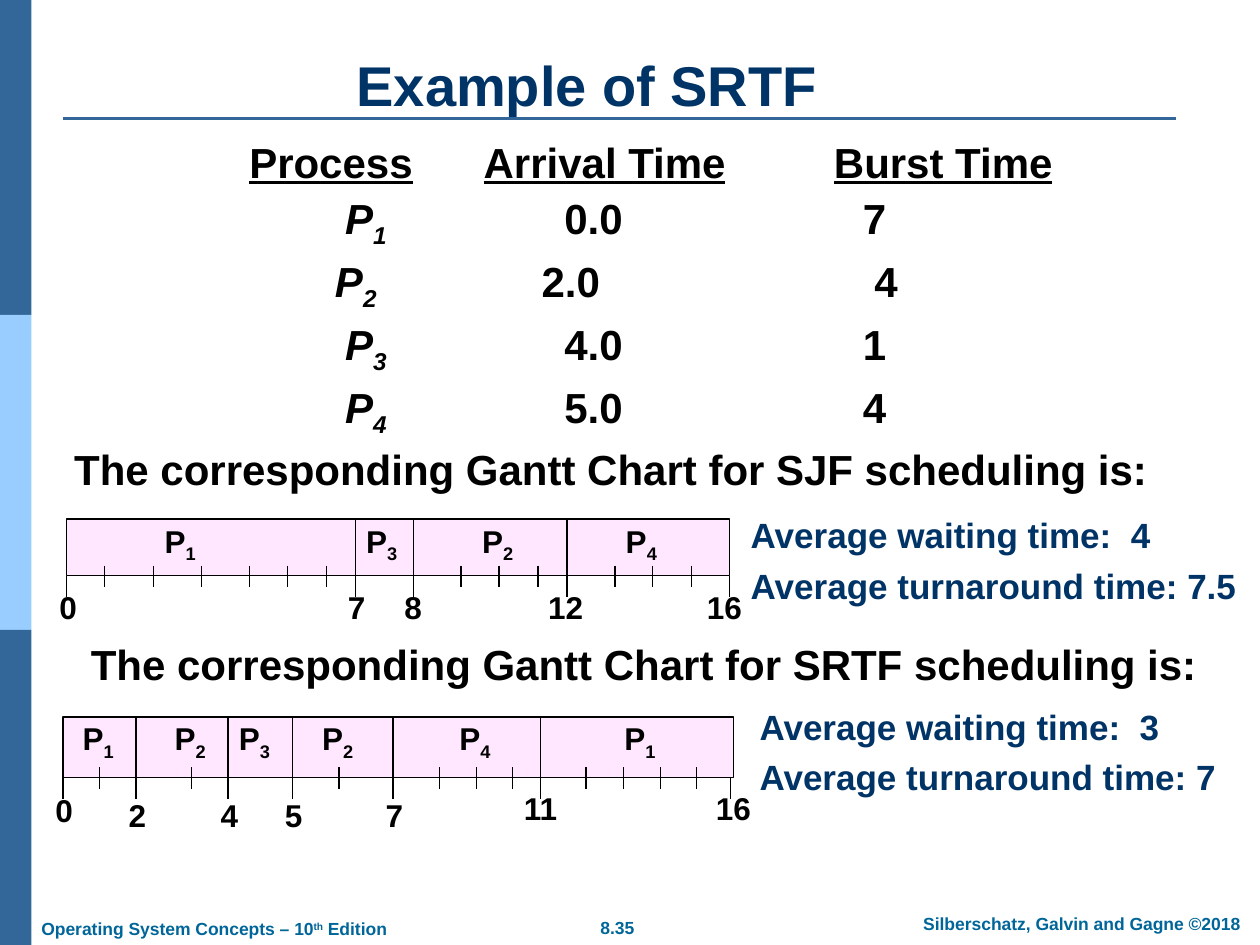
from lxml import etree
from pptx import Presentation
from pptx.dml.color import RGBColor
from pptx.enum import shapes, text
from pptx.oxml.ns import qn
from pptx.util import Inches, Pt

NAVY, BLUE, SKY, TEAL = "003366", "336699", "99CCFF", "006699"
BLACK, PINK = "000000", "FFDDFF"
rgb = RGBColor.from_string
LEFT, CENTER = text.PP_ALIGN.LEFT, text.PP_ALIGN.CENTER
SUB, SUPER = {"baseline": -25}, {"baseline": 30}
ITALIC, UNDERLINE = {"italic": True}, {"underline": True}

prs = Presentation()
prs.slide_width, prs.slide_height = Inches(10), Inches(7.5)
s = prs.slides.add_slide(prs.slide_layouts[5])


def add_runs(p, parts, size, color):
    """Add parts, each a string or a (string, format) pair, as bold runs."""
    for part in parts:
        content, style = (part, {}) if isinstance(part, str) else part
        r = p.add_run()
        r.text = content
        f = r.font
        f.name, f.size, f.bold = "Arial", Pt(size), True
        f.italic, f.underline = style.get("italic", False), style.get("underline", False)
        f.color.rgb = rgb(color)
        if "baseline" in style:
            r._r.get_or_add_rPr().set("baseline", str(style["baseline"] * 1000))


def add_box(x, y, w, h, parts, size, color, align=CENTER, wrap=False):
    tf = s.shapes.add_textbox(Inches(x), Inches(y), Inches(w), Inches(h)).text_frame
    tf.word_wrap = wrap
    tf.paragraphs[0].alignment = align
    add_runs(tf.paragraphs[0], parts, size, color)
    return tf


# Title
title = s.shapes.title
title.left, title.top, title.width, title.height = Inches(0.7), Inches(0.35), Inches(7.92), Inches(0.64)
tf = title.text_frame
tf.auto_size = text.MSO_AUTO_SIZE.NONE
tf.vertical_anchor = text.MSO_ANCHOR.TOP
tf.paragraphs[0].alignment = CENTER
add_runs(tf.paragraphs[0], ["Example of SRTF"], 32, NAVY)

# Sidebar and footer
for i, color in enumerate([BLUE, SKY, BLUE]):
    sp = s.shapes.add_shape(shapes.MSO_SHAPE.RECTANGLE, 0, Inches(2.5 * i), Inches(0.25), Inches(2.5))
    sp.shadow.inherit = False
    sp.fill.solid()
    sp.fill.fore_color.rgb = rgb(color)
    sp.line.fill.background()

add_box(0.23, 7.24, 2.94, 0.27,
        ["Operating System Concepts – 10", ("th", SUPER), " Edition"], 10, TEAL, LEFT)
add_box(4.41, 7.23, 0.98, 0.27, ["8.35"], 10, TEAL)
add_box(7.1, 7.2, 2.97, 0.27, ["Silberschatz, Galvin and Gagne ©2018"], 10, TEAL, wrap=True)

# Process list, aligned with tab stops
row_stops, shifted_stops = (2.32, 4.06, 6.43), (2.24, 3.88, 6.52)
rows = [((1.56, 3.42, 6.2), ["\t", ("Process", UNDERLINE), "\t", ("Arrival Time", UNDERLINE),
                             "\t", ("Burst Time", UNDERLINE)])]
for number, arrival, burst in [("1", "0.0", "7"), ("2", "2.0", "4"), ("3", "4.0", "1"), ("4", "5.0", "4")]:
    rows.append((shifted_stops if number == "2" else row_stops,
                 ["\t", ("P", ITALIC), (number, SUB | ITALIC), f"\t{arrival}\t{burst}"]))
rows.append(((0.17,), ["\tThe corresponding Gantt Chart for SJF scheduling is:"]))

tf = s.shapes.add_textbox(Inches(0.32), Inches(1.05), Inches(9.15), Inches(2.92)).text_frame
tf.word_wrap = True
tf.vertical_anchor = text.MSO_ANCHOR.BOTTOM
for i, (stops, parts) in enumerate(rows):
    p = tf.add_paragraph() if i else tf.paragraphs[0]
    p.line_spacing = 1.1
    tabs = etree.SubElement(p._p.get_or_add_pPr(), qn("a:tabLst"))
    for stop in stops:
        etree.SubElement(tabs, qn("a:tab"), pos=str(Inches(stop)), algn="l")
    add_runs(p, parts, 24, BLACK)

add_box(0.62, 5.02, 8.98, 0.5,
        ["The corresponding Gantt Chart for SRTF scheduling is:"], 24, BLACK)

# Gantt charts: time -> (mark x, label centre, label top); (process, centre); unit ticks
charts = [
    dict(top=4.12, width=5.26, height=0.45,
         times={0: (0.53, 0.54, 4.62), 7: (2.82, 2.83, 4.62), 8: (3.28, 3.28, 4.62),
                12: (4.5, 4.49, 4.62), 16: (5.79, 5.75, 4.62)},
         processes=[(1, 1.43), (3, 3.03), (2, 3.95), (4, 5.09)],
         ticks=[0.83, 1.22, 1.6, 1.98, 2.28, 2.59, 3.66, 3.96, 4.27, 4.88, 5.18, 5.49],
         averages=("4", "7.5"), averages_at=(5.86, 4.03)),
    dict(top=5.69, width=5.32, height=0.48,
         times={0: (0.5, 0.51, 6.23), 2: (1.08, 1.09, 6.27), 4: (1.81, 1.82, 6.27),
                5: (2.32, 2.33, 6.27), 7: (3.12, 3.13, 6.27), 11: (4.29, 4.29, 6.21),
                16: (5.8, 5.82, 6.21)},
         processes=[(1, 0.78), (2, 1.51), (3, 2.02), (2, 2.68), (4, 3.77), (1, 5.08)],
         ticks=[0.79, 1.52, 2.69, 3.49, 3.78, 4.07, 4.65, 4.95, 5.24, 5.53],
         averages=("3", "7"), averages_at=(5.93, 5.55)),
]
lines = [(0.5, 0.94, 9.33, 0.94, BLUE, 1.5)]
for chart in charts:
    top, bottom = chart["top"], chart["top"] + chart["height"]
    times = chart["times"]
    bar = s.shapes.add_shape(shapes.MSO_SHAPE.RECTANGLE, Inches(times[0][0]), Inches(top),
                             Inches(chart["width"]), Inches(chart["height"]))
    bar.shadow.inherit = False
    bar.fill.solid()
    bar.fill.fore_color.rgb = rgb(PINK)
    color_xml = bar._element.spPr.find(qn("a:solidFill")).find(qn("a:srgbClr"))
    etree.SubElement(color_xml, qn("a:alpha"), val="65000")
    bar.line.color.rgb = rgb(BLACK)
    bar.line.width = Pt(0.75)

    for number, center in chart["processes"]:
        add_box(center - 0.35, top - 0.03, 0.7, 0.44, ["P", (str(number), SUB)], 18, BLACK)

    lines += [(x, bottom - 0.08, x, bottom + 0.09, BLACK, 0.75) for x in chart["ticks"]]
    for time, (x, center, label_top) in times.items():
        start = bottom if time in (0, 16) else top
        lines.append((x, start, x, bottom + 0.17, BLACK, 0.75))
        add_box(center - 0.3, label_top, 0.6, 0.4, [str(time)], 18, BLACK)

    waiting, turnaround = chart["averages"]
    x, y = chart["averages_at"]
    tf = add_box(x, y, 4.17, 0.8, [f"Average waiting time:  {waiting}"], 20, NAVY, LEFT, True)
    p = tf.add_paragraph()
    p.line_spacing = 1.2
    add_runs(p, [f"Average turnaround time: {turnaround}"], 20, NAVY)

# Title rule and the time marks of both charts
for x1, y1, x2, y2, color, width in lines:
    line = s.shapes.add_connector(shapes.MSO_CONNECTOR.STRAIGHT,
                                  Inches(x1), Inches(y1), Inches(x2), Inches(y2))
    line.line.color.rgb = rgb(color)
    line.line.width = Pt(width)
    etree.SubElement(line._element.spPr, qn("a:effectLst"))

prs.save("out.pptx")
